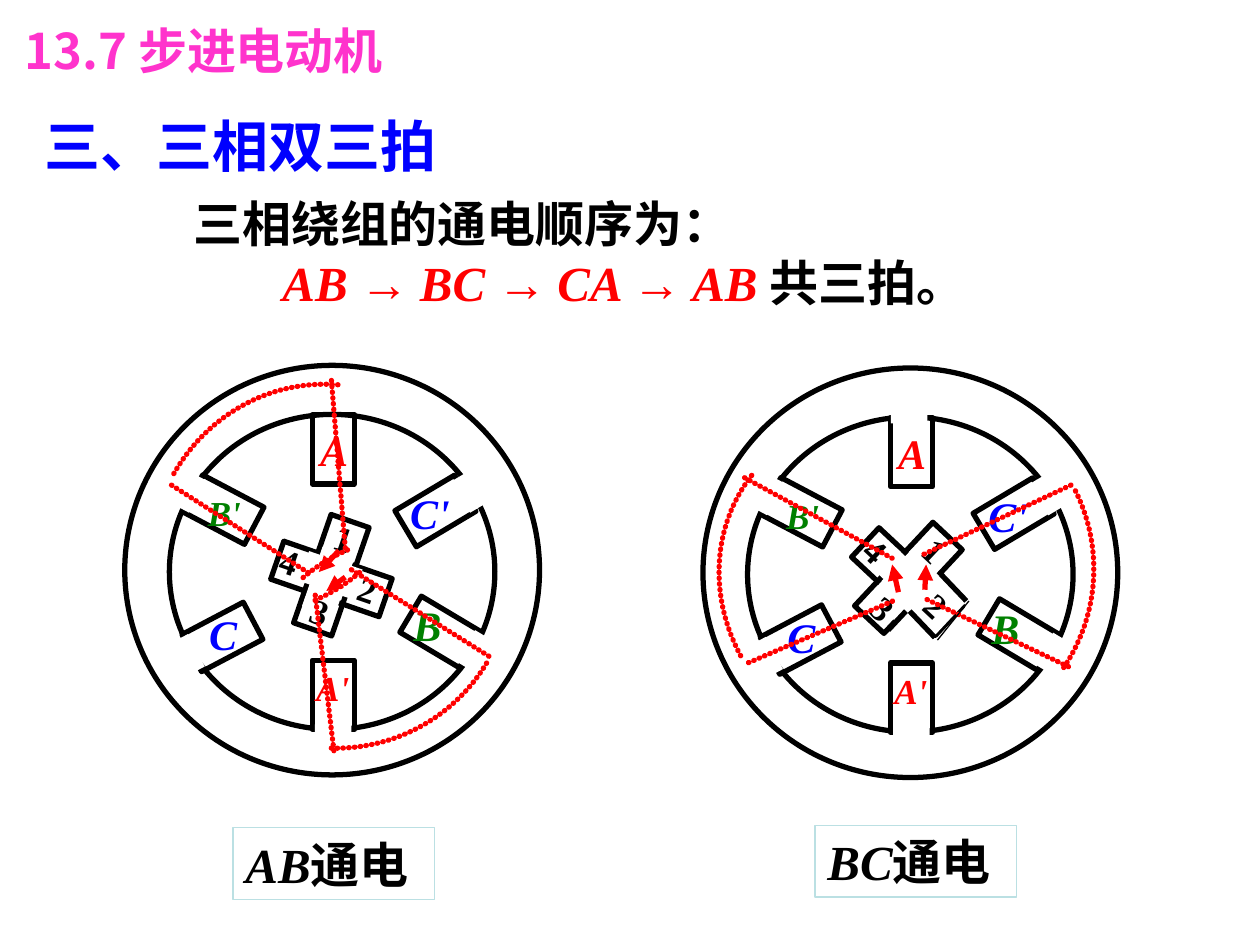
from dataclasses import dataclass
from lxml.etree import SubElement
from pptx import Presentation
from pptx.dml.color import RGBColor
from pptx.enum.dml import MSO_LINE
from pptx.enum.shapes import MSO_CONNECTOR, MSO_SHAPE
from pptx.enum.text import MSO_ANCHOR, MSO_AUTO_SIZE, PP_ALIGN
from pptx.oxml.ns import qn
from pptx.util import Pt

COLORS = {"black": "000000", "white": "FFFFFF", "red": "FF0000", "green": "008000",
          "blue": "0000FF", "pink": "FF33CC", "frame": "BBE0E3"}
CJK, TIMES, ARIAL = "Noto Sans CJK SC", "Times New Roman", "Arial"


@dataclass
class Run:
    text: str
    size: float
    color: str = "black"
    font: str = CJK
    italic: bool = False


@dataclass
class Box:
    x: float
    y: float
    width: float
    height: float
    rotation: float = 0


@dataclass
class Tooth:
    phase: str
    color: str
    size: float
    rotation: float
    iron: tuple[float, float]
    gap: tuple[float, float]
    label: tuple[float, float]


@dataclass
class Arc:
    box: Box
    start: float
    end: float


@dataclass
class Motor:
    center: tuple[float, float]
    open_top: bool
    angle: float
    bars: list[tuple[float, float]]
    hubs: list[Box]
    poles: dict[str, tuple[float, float]]
    arcs: list[Arc]
    flux: list[tuple[float, float, float, float]]
    arrows: list[tuple[float, float, float, float]]
    caption: str
    caption_at: tuple[float, float]


TEETH = [
    Tooth("A", "red", 24, 0, (0.6, -69), (-0.7, -93.6), (1, -69)),
    Tooth("A'", "red", 20, 0, (0.6, 71.3), (0.6, 96.5), (0.3, 67.3)),
    Tooth("C'", "blue", 24, 239.2, (59, -33.8), (80.6, -46), (56, -32.8)),
    Tooth("B'", "green", 20, 297.8, (-62, -34.6), (-84.3, -46), (-61.6, -32.8)),
    Tooth("B", "green", 24, 120.8, (61.8, 35.3), (83.4, 47.5), (54.3, 31.3)),
    Tooth("C", "blue", 24, 62.2, (-62.7, 38.2), (-85, 49.7), (-62.4, 36.4)),
]

MOTORS = [
    Motor((189.8, 325.8), False, 19.1, [(-0.4, 2.9), (-0.4, 5)],
          [Box(-2.2, 6.8, 19.4, 36), Box(-0.8, 2.9, 32.4, 18)],
          {"1": (6.8, -17.6), "2": (20.4, 11.2), "3": (-6.9, 24), "4": (-24.2, -4.7)},
          [Arc(Box(-4.4, -0.7, 200.9, 211), 212.3, 274.2), Arc(Box(48.9, 79.9, 200.9, 199.4), 229.1, 247.9),
           Arc(Box(2, 2.1, 200.9, 199.4), 30.6, 92.1), Arc(Box(-49.8, -74.2, 200.9, 199.4), 49.1, 67.9)],
          [(98, 277.2, 177.8, 328.3), (189.4, 217.4, 197.3, 313.2),
           (279.4, 375, 199.4, 324.7), (190.8, 429, 180, 339)],
          [(193.7, 314.6, 182.2, 326.9), (197.3, 329.8, 186.5, 337.7)],
          "AB", (133.2, 473)),
    Motor((520.2, 327.3), True, 43.1, [(-1.1, 2.9), (-1.8, 5)],
          [Box(4, 14.8, 43.2, 36), Box(-2.2, 3.6, 32.4, 18)],
          {"1": (14, -12.6), "2": (14.8, 19), "3": (-15.5, 20.5), "4": (-19.8, -12.6)},
          [Arc(Box(-6.5, 7.9, 192.2, 211, 303.1), 213.3, 274.1),
           Arc(Box(5, -1.5, 200.9, 199.4, 302), 31.1, 92.4)],
          [(427.7, 378.7, 512, 342.7), (425.5, 273, 509.8, 319),
           (612, 277.2, 526.3, 317.5), (610.6, 381, 528.5, 342)],
          [(513.4, 338.4, 509.8, 322.6), (528.5, 337, 529.2, 322.6)],
          "BC", (465.8, 471.6)),
]

ROTOR_EDGES = [(537.8, 328.3, 552.2, 343.4, 3), (519.8, 349.2, 534.2, 364.3, 3),
               (553.7, 343.4, 535.7, 365.8, 0.75), (517.7, 349.2, 507.6, 360, 3)]


def rgb(name: str) -> RGBColor:
    return RGBColor.from_string(COLORS[name])


def add_run(paragraph, item: Run) -> None:
    run = paragraph.add_run()
    run.text = item.text
    font = run.font
    font.size, font.bold, font.italic = Pt(item.size), True, item.italic
    font.color.rgb = rgb(item.color)
    font.name = item.font
    SubElement(run._r.get_or_add_rPr(), qn("a:ea"), typeface=item.font)


def write(shape, paragraphs: list[list[Run]], wrap=True, leading=None, align=PP_ALIGN.LEFT) -> None:
    frame = shape.text_frame
    frame.word_wrap, frame.auto_size = wrap, MSO_AUTO_SIZE.NONE
    frame.vertical_anchor = MSO_ANCHOR.TOP
    for index, runs in enumerate(paragraphs):
        paragraph = frame.add_paragraph() if index else frame.paragraphs[0]
        paragraph.alignment, paragraph.space_before = align, Pt(0)
        if leading:
            paragraph.line_spacing = Pt(leading)
        for item in runs:
            add_run(paragraph, item)


def place(shape, left: float, top: float, width: float, height: float) -> None:
    shape.left, shape.top, shape.width, shape.height = Pt(left), Pt(top), Pt(width), Pt(height)


def add_part(shapes, motor: Motor, box: Box, line=None, fill=None, kind=MSO_SHAPE.RECTANGLE):
    left = motor.center[0] + box.x - box.width / 2
    top = motor.center[1] + box.y - box.height / 2
    shape = shapes.add_shape(kind, Pt(left), Pt(top), Pt(box.width), Pt(box.height))
    shape.rotation = box.rotation
    style(shape, line, 3, fill)
    return shape


def style(shape, line=None, weight=3.0, fill=None) -> None:
    shape.shadow.inherit = False
    if fill:
        shape.fill.solid()
        shape.fill.fore_color.rgb = rgb(fill)
    else:
        shape.fill.background()
    if line:
        shape.line.color.rgb, shape.line.width = rgb(line), Pt(weight)
    else:
        shape.line.fill.background()


def add_label(shapes, motor: Motor, box: Box, run: Run) -> None:
    label = shapes.add_textbox(Pt(motor.center[0] + box.x - box.width / 2),
                               Pt(motor.center[1] + box.y - box.height / 2), Pt(box.width), Pt(box.height))
    label.rotation = box.rotation
    write(label, [[run]], wrap=False)


def dot(line) -> None:
    outline = line._get_or_add_ln()
    outline.set("cap", "rnd")
    dashes = SubElement(outline, qn("a:custDash"))
    SubElement(dashes, qn("a:ds"), d="10000", sp="100000")


def add_line(shapes, ends: tuple, color: str, weight: float = 3):
    connector = shapes.add_connector(MSO_CONNECTOR.STRAIGHT, *(Pt(value) for value in ends))
    connector.line.color.rgb, connector.line.width = rgb(color), Pt(weight)
    SubElement(connector._element.spPr, qn("a:effectLst"))
    return connector


def add_arc(shapes, motor: Motor, arc: Arc) -> None:
    shape = add_part(shapes, motor, arc.box, "red", kind=MSO_SHAPE.ARC)
    for index, degrees in enumerate((arc.start, arc.end)):
        shape.adjustments[index] = degrees * 0.6
    dot(shape.line)


def draw_motor(shapes, motor: Motor) -> None:
    add_part(shapes, motor, Box(0, 1, 186, 180), "black", kind=MSO_SHAPE.OVAL)
    add_part(shapes, motor, Box(0, 0, 237, 234), "black", kind=MSO_SHAPE.OVAL)
    for tooth in TEETH:
        add_part(shapes, motor, Box(*tooth.iron, 24, 39.6, tooth.rotation), "black")
        if motor.open_top or tooth.phase != "A":
            add_part(shapes, motor, Box(*tooth.gap, 20.9, 16.6, tooth.rotation), fill="white")
        width = 30 if len(tooth.phase) == 1 else 13 + tooth.size
        add_label(shapes, motor, Box(*tooth.label, width, tooth.size * 1.15 + 8),
                  Run(tooth.phase, tooth.size, tooth.color, TIMES, True))
    for turn, bar in zip((0, 270), motor.bars):
        add_part(shapes, motor, Box(*bar, 23, 65.5, (motor.angle + turn) % 360), "black")
    for hub in motor.hubs:
        hub.rotation = motor.angle
        add_part(shapes, motor, hub, fill="white")
    for number, center in motor.poles.items():
        add_label(shapes, motor, Box(*center, 24.5, 32, motor.angle), Run(number, 20, font=TIMES))
    for arc in motor.arcs:
        add_arc(shapes, motor, arc)
    for ends in motor.flux:
        dot(add_line(shapes, ends, "red").line)
    for ends in motor.arrows:
        arrow = add_line(shapes, ends, "red")
        arrow.line.dash_style = MSO_LINE.SQUARE_DOT
        SubElement(arrow.line._get_or_add_ln(), qn("a:tailEnd"), type="triangle")
    caption = shapes.add_shape(MSO_SHAPE.RECTANGLE, *(Pt(v) for v in (*motor.caption_at, 115.2, 41)))
    style(caption, "frame", 0.75)
    write(caption, [[Run(motor.caption, 28, font=TIMES, italic=True), Run("通电", 28)]],
          leading=33.8, align=PP_ALIGN.JUSTIFY)


def main() -> None:
    presentation = Presentation()
    presentation.slide_width, presentation.slide_height = Pt(720), Pt(540)
    slide = presentation.slides.add_slide(presentation.slide_layouts[1])
    title, body = slide.placeholders
    place(title, 6.8, 8, 515, 41)
    write(title, [[Run("13.7 步进电动机", 28, "pink")]], leading=33.8)
    heading = slide.shapes.add_textbox(Pt(18.2), Pt(59.8), Pt(238.3), Pt(46))
    write(heading, [[Run("三、三相双三拍", 32, "blue")]], wrap=False, leading=38.8)
    place(body, 103.2, 107.3, 428, 75)
    sequence = []
    for phases in ("AB", "BC", "CA"):
        sequence += [Run(phases + " ", 28, "red", TIMES, True), Run("→", 28, "red", ARIAL), Run(" ", 28, "red")]
    sequence += [Run("AB ", 28, "red", TIMES, True), Run("共三拍。", 28)]
    write(body, [[Run("三相绕组的通电顺序为：", 28)], sequence], leading=33.5)
    for paragraph, indent in zip(body.text_frame.paragraphs, (0, 51)):
        properties = paragraph._p.get_or_add_pPr()
        properties.set("marL", "0")
        properties.set("indent", str(Pt(indent)))
        SubElement(properties, qn("a:buNone"))
    for motor in MOTORS:
        draw_motor(slide.shapes, motor)
    for *ends, weight in ROTOR_EDGES:
        add_line(slide.shapes, tuple(ends), "black", weight)
    presentation.save("out.pptx")


if __name__ == "__main__":
    main()
